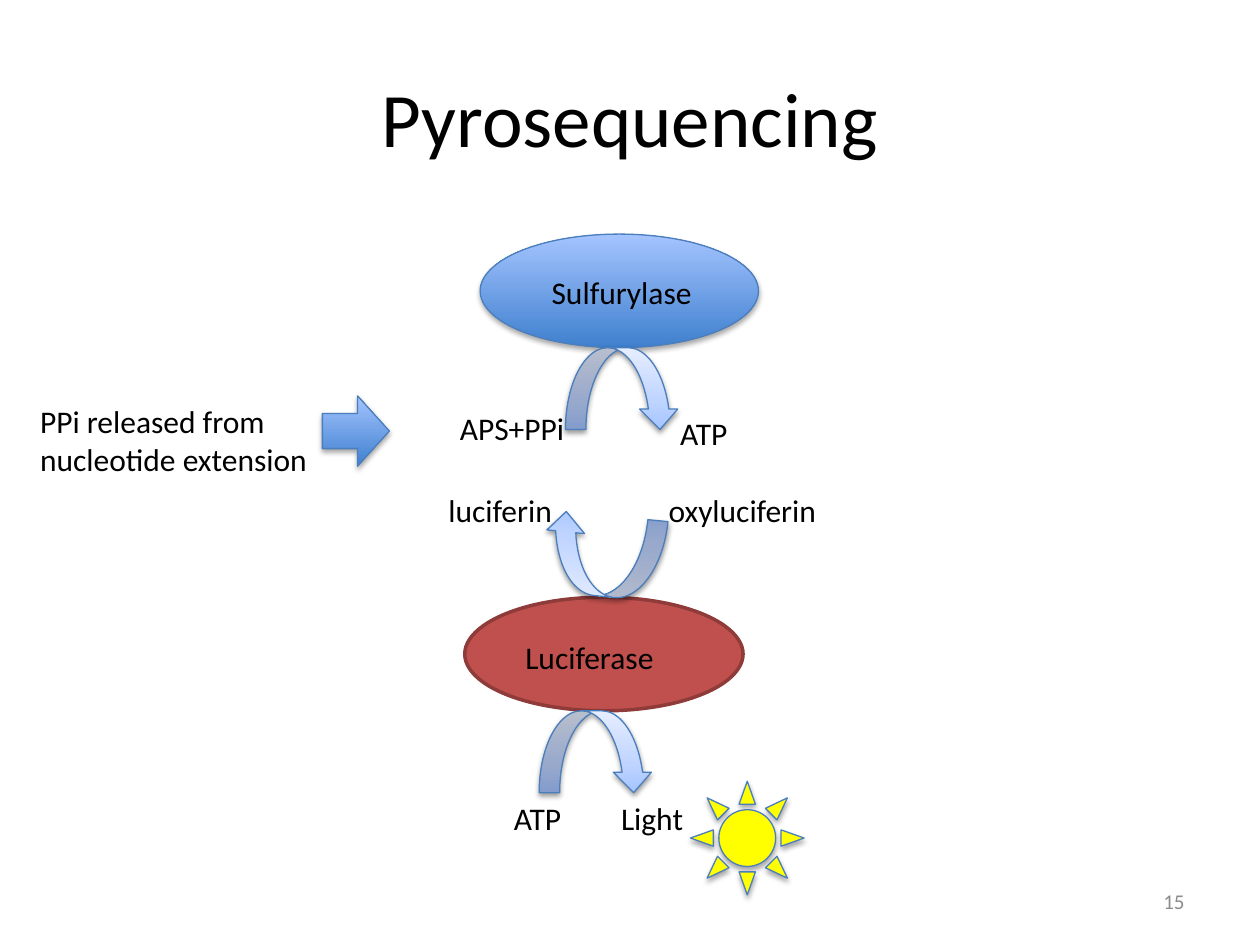
import pptx
import pptx.util
import pptx.oxml
import pptx.oxml.ns
import pptx.dml.color
import pptx.enum.shapes
import pptx.enum.text

Cm = pptx.util.Cm
Pt = pptx.util.Pt
RGB = pptx.dml.color.RGBColor
SHAPE = pptx.enum.shapes.MSO_SHAPE
ALIGN = pptx.enum.text.PP_ALIGN
ANCHOR = pptx.enum.text.MSO_ANCHOR
AUTO = pptx.enum.text.MSO_AUTO_SIZE

BLACK = RGB(0x00, 0x00, 0x00)
GREY = RGB(0x8C, 0x8C, 0x8C)
BLUE = RGB(0x3F, 0x80, 0xCE)
LIGHT_BLUE = RGB(0xA4, 0xC4, 0xFF)
PALE_BLUE = RGB(0xBF, 0xD4, 0xFF)
ICE_BLUE = RGB(0xE6, 0xEE, 0xFF)
OUTLINE = RGB(0x4B, 0x7E, 0xBC)
RED = RGB(0xC0, 0x50, 0x4D)
DARK_RED = RGB(0x8E, 0x3B, 0x39)
YELLOW = RGB(0xFF, 0xFF, 0x00)

FONT = "Calibri"
TITLE = "Pyrosequencing"
SLIDE_NUMBER = "15"

STRONG = [(0, BLUE), (100, LIGHT_BLUE)]
SOFT = [(0, LIGHT_BLUE), (35, PALE_BLUE), (100, ICE_BLUE)]
SHADOW = (35, 1.8)
ARROW_SHADOW = (38, 1.6)
CURVE = (0.25, 0.466, 0.25)

ENZYMES = [
    ((9.68, 4.72, 5.61, 2.29), STRONG, OUTLINE, 0.75, SHADOW),
    ((9.37, 12.04, 5.61, 2.29), RED, DARK_RED, 2, None),
]
REACTIONS = [
    ((11.4, 7.01, 2.29, 1.65), 0),
    ((10.95, 10.39, 2.44, 1.63), 185.7),
    ((10.87, 14.33, 2.29, 1.65), 0),
]
LABELS = [
    ("Sulfurylase", (10.87, 5.38, 3.35, 1.02)),
    ("Luciferase", (10.34, 12.73, 3.12, 1.02)),
    ("APS+PPi", (9.02, 8.13, 2.64, 1.02)),
    ("ATP", (13.46, 8.23, 1.47, 1.02)),
    ("luciferin", (8.79, 9.78, 2.62, 1.02)),
    ("oxyluciferin", (13.23, 9.78, 3.51, 1.02)),
    ("ATP", (10.11, 15.98, 1.47, 1.02)),
    ("Light", (12.27, 15.98, 1.78, 1.02)),
    ("PPi released from\nnucleotide extension", (0.56, 7.98, 5.94, 1.8)),
]


def add_xml(sp, xml):
    ns = pptx.oxml.ns.nsdecls("a")
    sp._element.spPr.append(pptx.oxml.parse_xml(xml.replace(">", f" {ns}>", 1)))


def add_gradient(sp, stops):
    gs = "".join(f'<a:gs pos="{pos * 1000}"><a:srgbClr val="{color}"/></a:gs>'
                 for pos, color in stops)
    add_xml(sp, f'<a:gradFill rotWithShape="1"><a:gsLst>{gs}</a:gsLst>'
                '<a:lin ang="16200000" scaled="0"/></a:gradFill>')


def add_shadow(sp, alpha, dist):
    add_xml(sp, f'<a:effectLst><a:outerShdw blurRad="{Pt(3.1)}" dist="{Pt(dist)}" '
                'dir="5400000" rotWithShape="0"><a:srgbClr val="000000">'
                f'<a:alpha val="{alpha * 1000}"/></a:srgbClr></a:outerShdw></a:effectLst>')


def draw(slide, kind, box, fill, line=OUTLINE, width=0.75, shadow=SHADOW, adjust=()):
    sp = slide.shapes.add_shape(kind, *map(Cm, box))
    for i, value in enumerate(adjust):
        sp.adjustments[i] = value
    if isinstance(fill, list):
        add_gradient(sp, fill)
    else:
        sp.fill.solid()
        sp.fill.fore_color.rgb = fill
    sp.line.color.rgb = line
    sp.line.width = Pt(width)
    if shadow:
        add_shadow(sp, *shadow)
    else:
        sp.shadow.inherit = False
    return sp


def write(sp, text, size, color=BLACK, align=ALIGN.LEFT):
    tf = sp.text_frame
    tf.text = text
    for p in tf.paragraphs:
        p.alignment = align
        for r in p.runs:
            r.font.name = FONT
            r.font.size = Pt(size)
            r.font.color.rgb = color
    return tf


def main():
    prs = pptx.Presentation()
    prs.slide_width, prs.slide_height = Cm(25.4), Cm(19.05)
    slide = prs.slides.add_slide(prs.slide_layouts[5])

    title = slide.shapes.title
    title.left, title.top, title.width, title.height = map(Cm, (1.27, 0.76, 22.86, 3.18))
    write(title, TITLE, 44, align=ALIGN.CENTER).vertical_anchor = ANCHOR.MIDDLE

    for box, fill, line, width, shadow in ENZYMES:
        draw(slide, SHAPE.OVAL, box, fill, line, width, shadow)
    for box, rotation in REACTIONS:
        sp = draw(slide, SHAPE.CURVED_DOWN_ARROW, box, SOFT,
                  shadow=ARROW_SHADOW, adjust=CURVE)
        sp.rotation = rotation

    for text, box in LABELS:
        tf = write(slide.shapes.add_textbox(*map(Cm, box)), text, 18)
        tf.word_wrap = False
        tf.auto_size = AUTO.SHAPE_TO_FIT_TEXT

    draw(slide, SHAPE.RIGHT_ARROW, (6.5, 7.98, 1.35, 1.42), STRONG, adjust=(0.5, 0.475))
    draw(slide, SHAPE.SUN, (13.92, 15.75, 2.29, 2.29), YELLOW)

    number = slide.shapes.add_textbox(*map(Cm, (18.21, 17.65, 5.92, 1.02)))
    tf = write(number, SLIDE_NUMBER, 12, GREY, ALIGN.RIGHT)
    tf.word_wrap = True
    tf.vertical_anchor = ANCHOR.MIDDLE

    prs.save("out.pptx")


if __name__ == "__main__":
    main()
